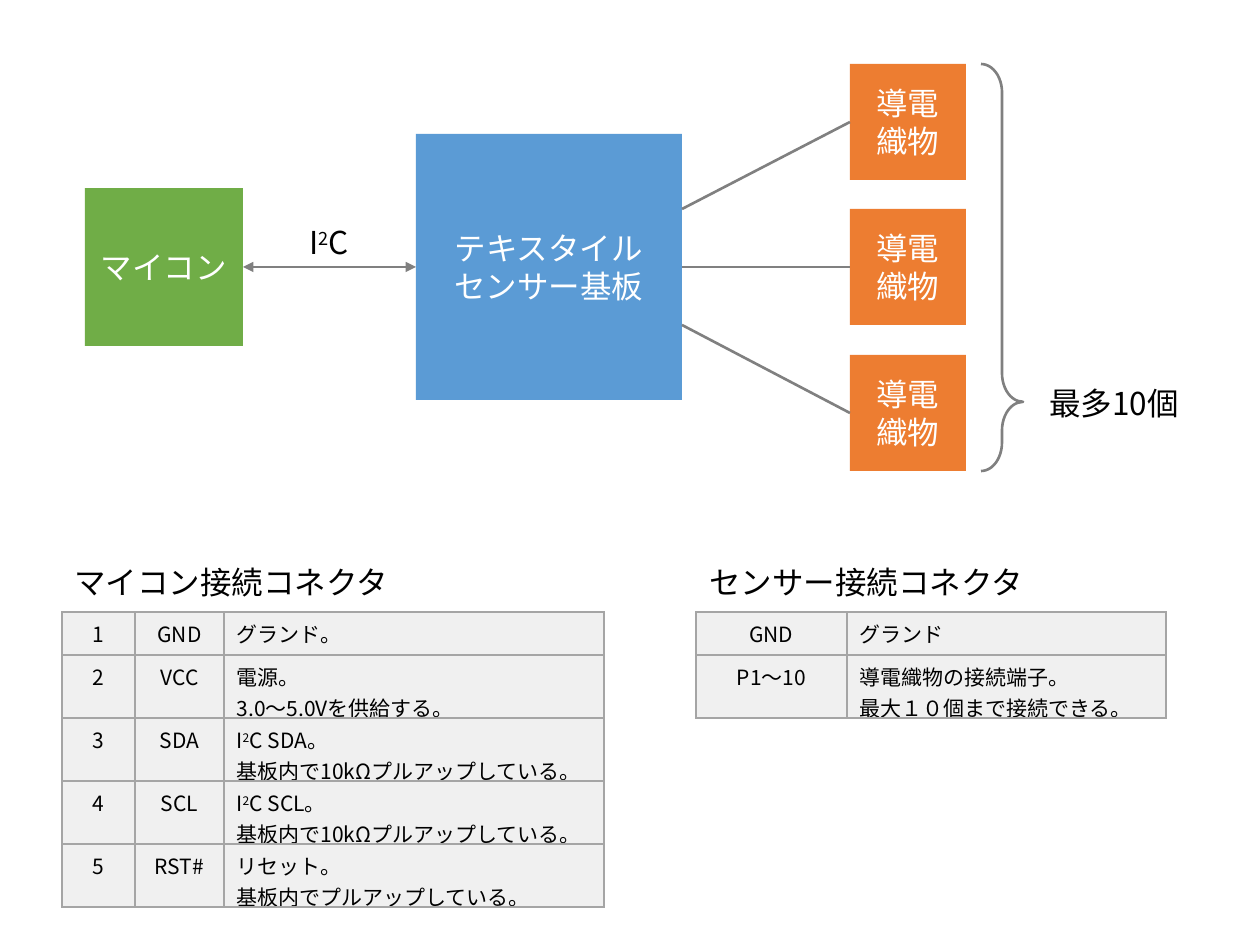
"""Build the block diagram and connector tables of a textile sensor board."""
import pptx
import pptx.dml.color
import pptx.enum.shapes
import pptx.enum.text
import pptx.oxml
import pptx.oxml.ns
import pptx.util

PX = 914400 / 126
FONT = "Noto Sans CJK JP"
GREY = "808080"
NAMESPACE = pptx.oxml.ns.nsdecls("a")
SHAPE = pptx.enum.shapes.MSO_SHAPE
ALIGN = pptx.enum.text.PP_ALIGN


def px(*lengths):
    return [pptx.util.Emu(round(length * PX)) for length in lengths]


def write(frame, text, size, colour, align):
    frame.text = text.replace("²", "")
    for para, line in zip(frame.paragraphs, text.split("\n")):
        para.alignment = align
        if "²" in line:
            before, after = line.split("²")
            para.runs[0].text = before
            para.add_run().text = "2"
            para.add_run().text = after
            para.runs[1].font._element.set("baseline", "30000")
        for span in para.runs:
            span.font.size = pptx.util.Pt(size)
            span.font.color.rgb = pptx.dml.color.RGBColor.from_string(colour)
            span.font.name = FONT
            span.font._element.append(pptx.oxml.parse_xml(f'<a:ea {NAMESPACE} typeface="{FONT}"/>'))


deck = pptx.Presentation()
deck.slide_width, deck.slide_height = px(1260, 945)
page = deck.slides.add_slide(deck.slide_layouts[6])

blocks = []
for text, left, top, side, colour in [
    ("マイコン", 85, 188, 158, "70AD47"),
    ("テキスタイル\nセンサー基板", 416, 134, 266, "5B9BD5"),
    ("導電\n織物", 850, 64, 116, "ED7D31"),
    ("導電\n織物", 850, 209, 116, "ED7D31"),
    ("導電\n織物", 850, 355, 116, "ED7D31"),
]:
    block = page.shapes.add_shape(SHAPE.RECTANGLE, *px(left, top, side, side))
    block.shadow.inherit = False
    block.fill.solid()
    block.fill.fore_color.rgb = pptx.dml.color.RGBColor.from_string(colour)
    block.line.fill.background()
    block.text_frame.vertical_anchor = pptx.enum.text.MSO_ANCHOR.MIDDLE
    write(block.text_frame, text, 18, "FFFFFF", ALIGN.CENTER)
    blocks.append(block)
micro, board, *fabrics = blocks

links = []
for start, end, start_y in [(micro, board, 267)] + list(zip([board] * 3, fabrics, (209, 267, 325))):
    link = page.shapes.add_connector(
        pptx.enum.shapes.MSO_CONNECTOR.STRAIGHT, start.left + start.width, *px(start_y), end.left, end.top + end.height // 2
    )
    if start_y == 267:
        link.begin_connect(start, 3)
    link.end_connect(end, 1)
    link.line.width = pptx.util.Pt(1.5)
    link.line.color.rgb = pptx.dml.color.RGBColor.from_string(GREY)
    link._element.spPr.append(pptx.oxml.parse_xml(f"<a:effectLst {NAMESPACE}/>"))
    links.append(link)
for tag in ("headEnd", "tailEnd"):
    links[0].line._get_or_add_ln().append(pptx.oxml.parse_xml(f'<a:{tag} {NAMESPACE} type="triangle"/>'))

brace = page.shapes.add_shape(SHAPE.RIGHT_BRACE, *px(981, 64, 42, 407))
brace.adjustments[0], brace.adjustments[1] = 0.68, 0.83
brace.shadow.inherit = False
brace.fill.background()
brace.line.width = pptx.util.Pt(1.5)
brace.line.color.rgb = pptx.dml.color.RGBColor.from_string(GREY)

for text, left, top, width, wrap in [
    ("I²C", 297, 217, 65, False),
    ("マイコン接続コネクタ", 62, 557, 344, False),
    ("センサー接続コネクタ", 697, 557, 344, False),
    ("最多10個", 1037, 378, 155, True),
]:
    box = page.shapes.add_textbox(*px(left, top, width, 51))
    box.text_frame.word_wrap = wrap
    box.text_frame.auto_size = pptx.enum.text.MSO_AUTO_SIZE.SHAPE_TO_FIT_TEXT
    write(box.text_frame, text, 18, "000000", ALIGN.LEFT)

micro_rows = [
    ("1", "GND", "グランド。"),
    ("2", "VCC", "電源。\n3.0～5.0Vを供給する。"),
    ("3", "SDA", "I²C SDA。\n基板内で10kΩプルアップしている。"),
    ("4", "SCL", "I²C SCL。\n基板内で10kΩプルアップしている。"),
    ("5", "RST#", "リセット。\n基板内でプルアップしている。"),
]
sensor_rows = [
    ("GND", "グランド"),
    ("P1～10", "導電織物の接続端子。\n最大１０個まで接続できる。"),
]
for left, widths, rows in [(62, (73, 89, 380), micro_rows), (696, (151, 319), sensor_rows)]:
    table = page.shapes.add_table(len(rows), len(widths), *px(left, 612, sum(widths), 43 * len(rows))).table
    table.first_row = table.horz_banding = False
    for column, width in zip(table.columns, widths):
        column.width = px(width)[0]
    for row, texts in zip(table.rows, rows):
        row.height = px(43)[0]
        for cell, text in zip(row.cells, texts):
            for side in "LRTB":
                cell._tc.get_or_add_tcPr().append(pptx.oxml.parse_xml(
                    f'<a:ln{side} {NAMESPACE} w="12700"><a:solidFill><a:srgbClr val="A5A5A5"/></a:solidFill></a:ln{side}>'
                ))
            cell.fill.solid()
            cell.fill.fore_color.rgb = pptx.dml.color.RGBColor.from_string("F0F0F0")
            write(cell.text_frame, text, 12, "000000", ALIGN.LEFT if text == texts[-1] else ALIGN.CENTER)

deck.save("out.pptx")
